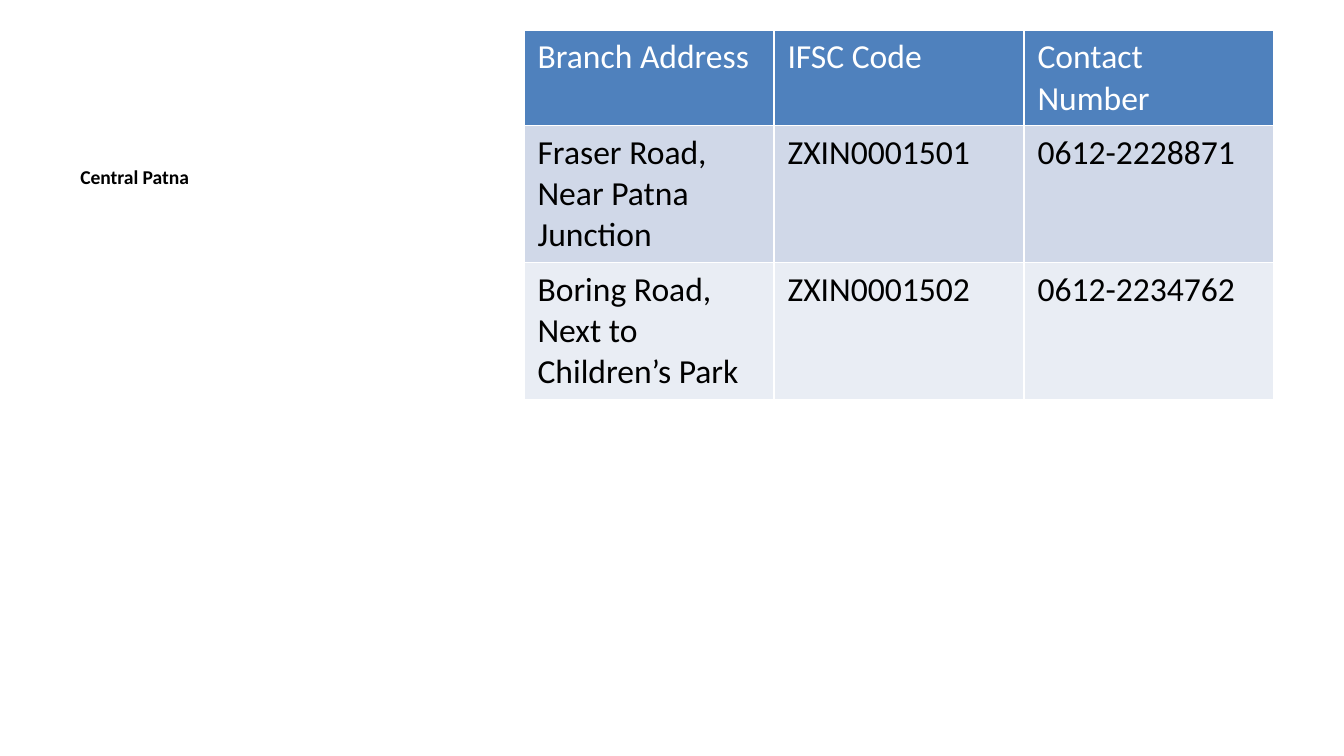
import dataclasses

import lxml.etree
import pptx
import pptx.dml.color
import pptx.oxml.ns
import pptx.util

WIDTH = 10
HEIGHT = WIDTH * 9 / 16
FONT = "Calibri"
COLORS = {
    "header": "4F81BD",
    "odd": "D0D8E8",
    "even": "E9EDF4",
    "white": "FFFFFF",
    "black": "000000",
}


@dataclasses.dataclass
class Row:
    texts: tuple[str, str, str]
    height: float
    fill: str
    color: str = "black"


ROWS = [
    Row(("Branch Address", "IFSC Code", "Contact Number"), 0.71, "header", "white"),
    Row(("Fraser Road, Near Patna Junction", "ZXIN0001501", "0612-2228871"), 1.02, "odd"),
    Row(("Boring Road, Next to Children’s Park", "ZXIN0001502", "0612-2234762"), 1.02, "even"),
]


def rgb(name: str) -> pptx.dml.color.RGBColor:
    return pptx.dml.color.RGBColor.from_string(COLORS[name])


def share_x(share: float) -> int:
    return pptx.util.Inches(WIDTH * share)


def share_y(share: float) -> int:
    return pptx.util.Inches(HEIGHT * share)


def write(tf, text: str, size: float, color: str, bold: bool = False) -> None:
    p = tf.paragraphs[0]
    p.text = text
    p.font.name = FONT
    p.font.size = pptx.util.Pt(size)
    p.font.bold = bold
    p.font.color.rgb = rgb(color)


def add_borders(cell) -> None:
    qn = pptx.oxml.ns.qn
    tcPr = cell._tc.get_or_add_tcPr()
    for side in "LRTB":
        ln = lxml.etree.SubElement(tcPr, qn(f"a:ln{side}"), w=str(pptx.util.Pt(1)))
        fill = lxml.etree.SubElement(ln, qn("a:solidFill"))
        lxml.etree.SubElement(fill, qn("a:srgbClr"), val=COLORS["white"])


def add_area(s, text: str) -> None:
    sp = s.shapes.add_textbox(share_x(0.05), share_y(0.21), share_x(0.33), share_y(0.68))
    sp.text_frame.word_wrap = True
    write(sp.text_frame, text, 10.5, "black", True)


def add_branches(s, rows: list[Row]) -> None:
    columns = len(rows[0].texts)
    height = pptx.util.Inches(sum(row.height for row in rows))
    table = s.shapes.add_table(
        len(rows), columns, share_x(0.39), share_y(0.04), share_x(0.56), height
    ).table
    for column in table.columns:
        column.width = pptx.util.Inches(1.86)
    for i, row in enumerate(rows):
        table.rows[i].height = pptx.util.Inches(row.height)
        for j, text in enumerate(row.texts):
            cell = table.cell(i, j)
            add_borders(cell)
            cell.fill.solid()
            cell.fill.fore_color.rgb = rgb(row.fill)
            write(cell.text_frame, text, 18, row.color)


def main() -> None:
    prs = pptx.Presentation()
    prs.slide_width, prs.slide_height = share_x(1), share_y(1)
    s = prs.slides.add_slide(prs.slide_layouts[6])
    add_area(s, "Central Patna")
    add_branches(s, ROWS)
    prs.save("out.pptx")


if __name__ == "__main__":
    main()
